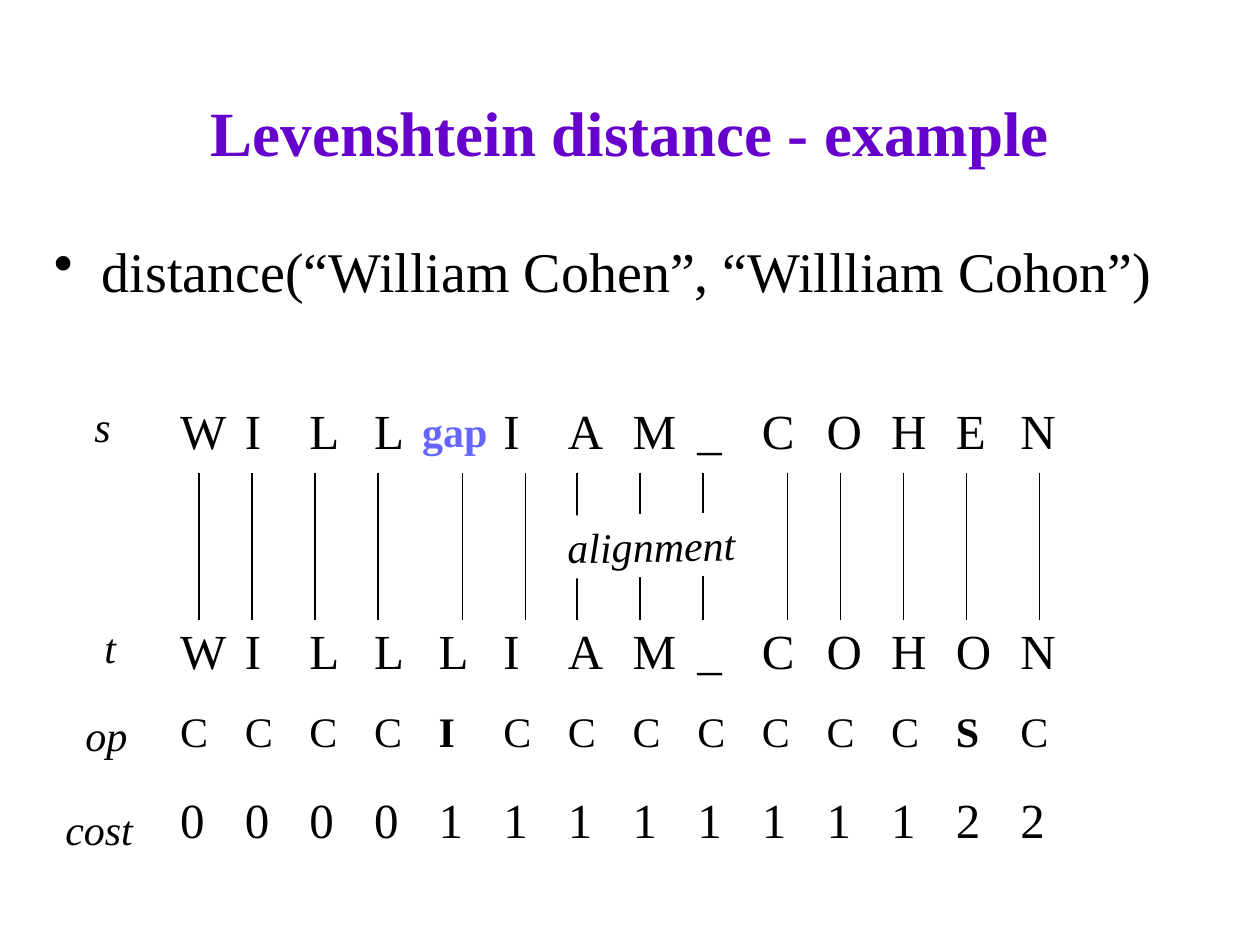
from dataclasses import dataclass

from lxml.etree import SubElement
from pptx import Presentation
from pptx.dml.color import RGBColor
from pptx.enum.shapes import MSO_CONNECTOR, MSO_SHAPE
from pptx.enum.text import MSO_ANCHOR, PP_ALIGN
from pptx.oxml.ns import qn
from pptx.util import Inches, Pt

FONT = "Times New Roman"
BLACK = "000000"


@dataclass
class Label:
    """A short text with its place and look."""

    text: str
    left: float
    top: float
    width: float
    height: float = 0.5
    size: int = 24
    color: str = BLACK
    bold: bool = False
    italic: bool = False
    align: PP_ALIGN = PP_ALIGN.LEFT
    wrap: bool = False


@dataclass
class Row:
    """One table row, a letter per column."""

    text: str
    height: float
    size: int = 28
    bold: str = ""


TITLE = Label("Levenshtein distance - example", 0.75, 0.42, 8.5, 1.25, 36,
              "6600CC", bold=True, align=PP_ALIGN.CENTER, wrap=True)
BODY = Label("distance(“William Cohen”, “Willliam Cohon”)",
             0.33, 1.83, 9.33, 0.92, 32, wrap=True)
NAMES = [
    Label("s", 0.65, 3.13, 0.33, italic=True),
    Label("t", 0.73, 4.88, 0.29, italic=True),
    Label("op", 0.58, 5.58, 0.53, italic=True, align=PP_ALIGN.RIGHT),
    Label("cost", 0.42, 6.33, 0.74, italic=True),
]
ALIGN = Label("alignment", 4.25, 4.08, 1.84, italic=True,
              align=PP_ALIGN.CENTER, wrap=True)
GAP = Label("gap", 3.25, 3.17, 0.72, color="6666FF", bold=True,
            align=PP_ALIGN.CENTER)
ROWS = [
    Row("WILL IAM_COHEN", 0.58),
    Row(" " * 14, 1.17),
    Row("WILLLIAM_COHON", 0.67),
    Row("CCCCICCCCCCCSC", 0.67, 24, "IS"),
    Row("00001111111122", 0.75),
]
LINKS = [1.58, 2, 2.5, 3, 3.67, 4.17, 4.58, 5.08, 5.58,
         6.25, 6.67, 7.17, 7.67, 8.25]


def paint(code: str) -> RGBColor:
    """Turn a hex string into a colour."""
    return RGBColor.from_string(code)


def style(frame, size: int, color: str = BLACK, bold: bool = False,
          italic: bool = False) -> None:
    """Format every run of a text frame."""
    for para in frame.paragraphs:
        for run in para.runs:
            font = run.font
            font.name, font.size = FONT, Pt(size)
            font.bold, font.italic = bold, italic
            font.color.rgb = paint(color)


def fill_text(shape, label: Label) -> None:
    """Write a label into a shape."""
    frame = shape.text_frame
    frame.text = label.text
    frame.word_wrap = label.wrap
    frame.paragraphs[0].alignment = label.align
    style(frame, label.size, label.color, label.bold, label.italic)


def place(label: Label) -> tuple:
    """Give the box of a label as lengths."""
    return tuple(map(Inches, (label.left, label.top,
                              label.width, label.height)))


def add_label(slide, label: Label):
    """Add a text box for a label."""
    box = slide.shapes.add_textbox(*place(label))
    fill_text(box, label)
    return box


def add_bullet(para) -> None:
    """Give a paragraph a hanging bullet."""
    props = para._p.get_or_add_pPr()
    props.set("marL", str(Inches(0.38)))
    props.set("indent", str(Inches(-0.38)))
    SubElement(props, qn("a:buChar")).set("char", "•")


def add_grid(slide, rows: list[Row]) -> None:
    """Add the table of letters, edits and costs."""
    count = len(rows[0].text)
    table = slide.shapes.add_table(
        len(rows), count, Inches(1.33), Inches(3.17),
        Inches(7.92), Inches(3.83)).table
    table.first_row = table.horz_banding = False
    last = Inches(1.25)
    for col in table.columns:
        col.width = (Inches(7.92) - last) // (count - 1)
    table.columns[count - 1].width = last
    for r, row in enumerate(rows):
        table.rows[r].height = Inches(row.height)
        for c, char in enumerate(row.text):
            cell = table.cell(r, c)
            cell.fill.background()
            cell.text_frame.text = char.strip()
            style(cell.text_frame, row.size, bold=char in row.bold)


def add_link(slide, x: float) -> None:
    """Add an upright line between the two strings."""
    line = slide.shapes.add_connector(
        MSO_CONNECTOR.STRAIGHT, Inches(x), Inches(3.75),
        Inches(x), Inches(4.92))
    line.line.color.rgb = paint(BLACK)
    line.line.width = Pt(0.75)
    SubElement(line._element.spPr, qn("a:effectLst"))


def add_plate(slide, label: Label) -> None:
    """Add a tilted white plate with text."""
    plate = slide.shapes.add_shape(MSO_SHAPE.RECTANGLE, *place(label))
    plate.shadow.inherit = False
    plate.fill.solid()
    plate.fill.fore_color.rgb = paint("FFFFFF")
    plate.line.fill.background()
    plate.rotation = 358.9
    fill_text(plate, label)
    plate.text_frame.vertical_anchor = MSO_ANCHOR.TOP


def main() -> None:
    """Build and save the slide."""
    deck = Presentation()
    deck.slide_width, deck.slide_height = Inches(10), Inches(7.5)
    slide = deck.slides.add_slide(deck.slide_layouts[6])
    title = add_label(slide, TITLE)
    title.text_frame.vertical_anchor = MSO_ANCHOR.MIDDLE
    para = add_label(slide, BODY).text_frame.paragraphs[0]
    para.space_before = Pt(6.4)
    add_bullet(para)
    add_grid(slide, ROWS)
    for x in LINKS:
        add_link(slide, x)
    for name in NAMES:
        add_label(slide, name)
    add_plate(slide, ALIGN)
    add_label(slide, GAP)
    deck.save("out.pptx")


if __name__ == "__main__":
    main()
